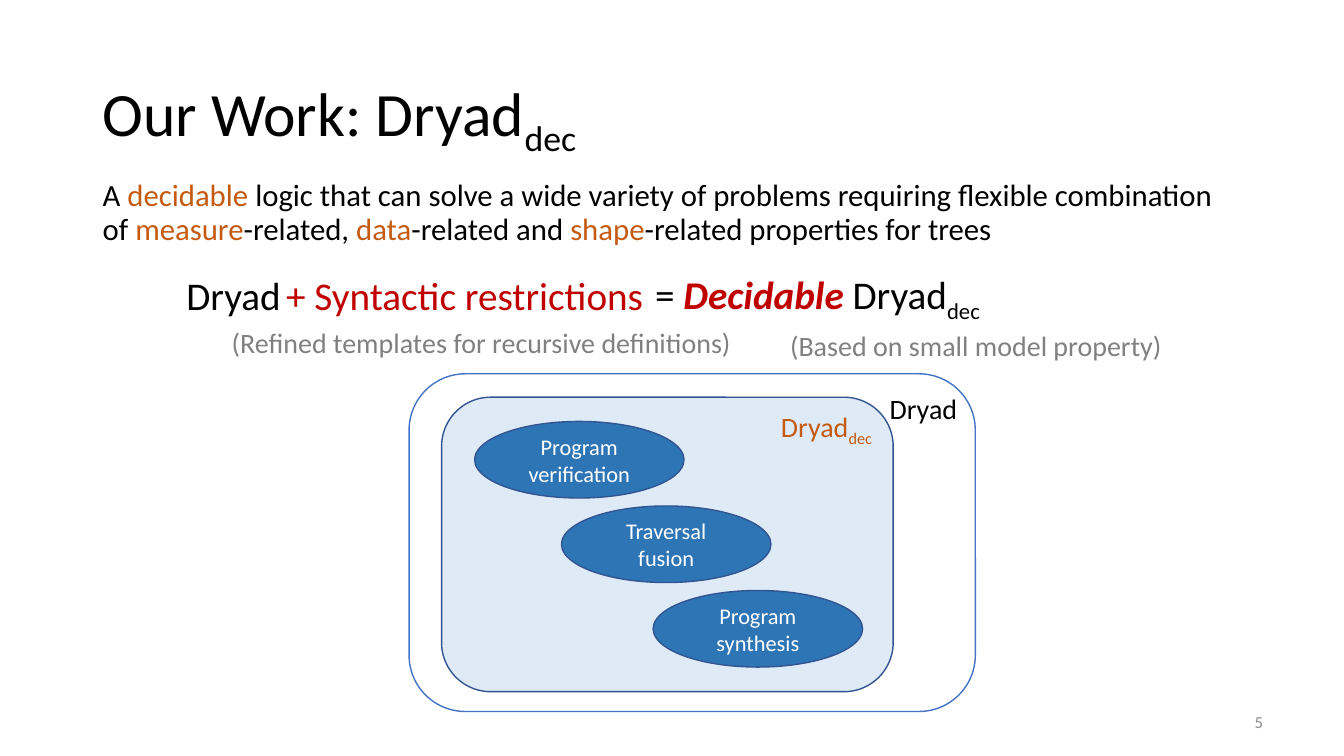
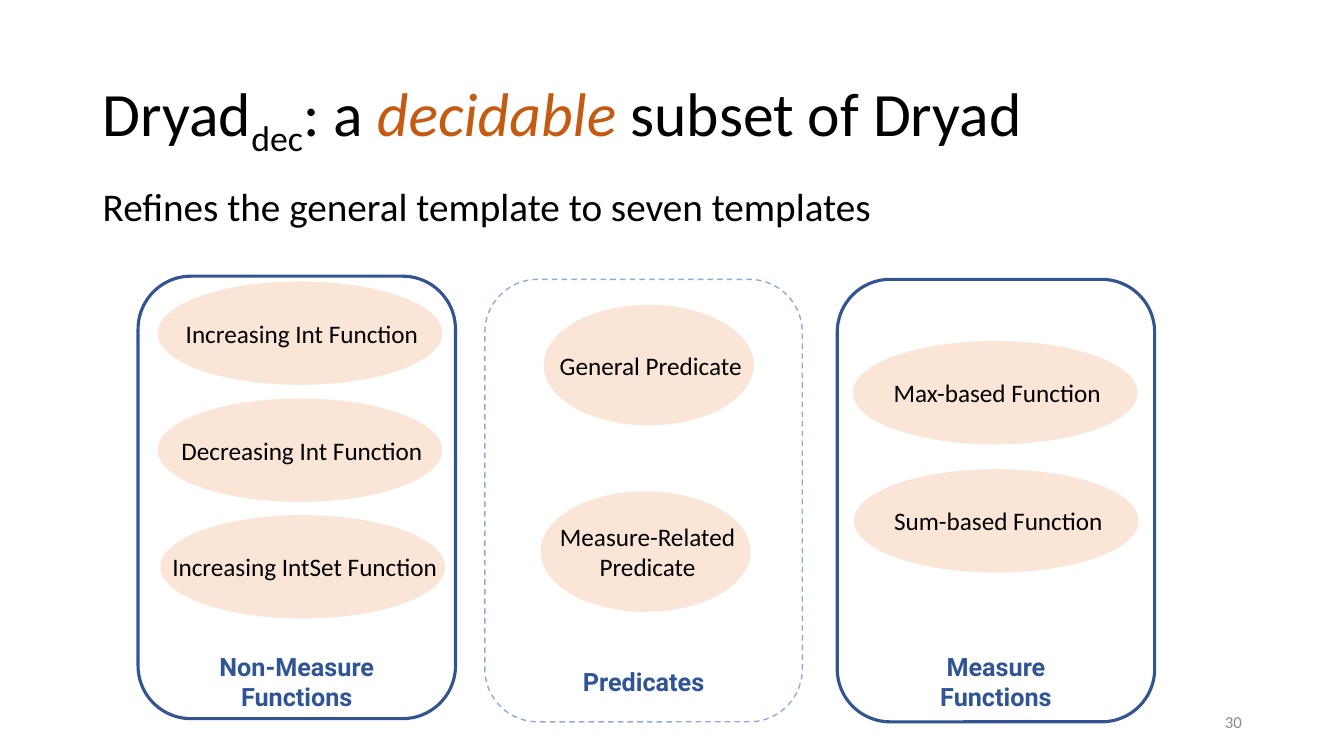
from pptx import Presentation
from pptx.dml.color import RGBColor
from pptx.enum.dml import MSO_LINE
from pptx.enum.shapes import MSO_SHAPE as SHAPE
from pptx.enum.text import MSO_ANCHOR as ANCHOR, PP_ALIGN as ALIGN
from pptx.util import Cm, Pt

# Shared colours
BLACK, WHITE, GREY, PAGE_GREY = "000000", "FFFFFF", "808080", "8C8C8C"
ORANGE, RED = "C55A11", "C00000"
BLUE, NAVY, CAPTION_BLUE, EDGE_BLUE = "2E75B6", "325491", "2F5597", "4472C4"
PALE_BLUE, DASH_BLUE, PEACH = "DEEBF7", "8FAADC", "FBE5D6"

# Shared left edge and width of title and body, in cm
LEFT, WIDTH = 2.34, 29.21

# Runs with their own format
DEC = ("dec", {"sub": True})


def rgb(color):
    return RGBColor.from_string(color)


def orange(text, **fmt):
    return text, {"color": ORANGE, **fmt}


def write(sp, text, size=18, color=BLACK, font="Calibri", bold=False,
          italic=False, align=ALIGN.LEFT, anchor=ANCHOR.TOP, wrap=True,
          spacing=None, before=0):
    """Fill a shape with one paragraph: a string, or runs of text and changes."""
    tf = sp.text_frame
    tf.word_wrap = wrap
    tf.vertical_anchor = anchor
    p = tf.paragraphs[0]
    p.alignment = align
    p.space_before = Pt(before)
    if spacing:
        p.line_spacing = spacing
    base = {"color": color, "bold": bold, "italic": italic}
    for part in [text] if isinstance(text, str) else text:
        words, changes = (part, {}) if isinstance(part, str) else part
        fmt = {**base, **changes}
        r = p.add_run()
        r.text = words
        r.font.size = Pt(size)
        r.font.name = font
        r.font.color.rgb = rgb(fmt["color"])
        r.font.bold = fmt["bold"]
        r.font.italic = fmt["italic"]
        if fmt.get("sub"):
            r.font._element.set("baseline", "-25000")


def add_text(s, box, text, **fmt):
    write(s.shapes.add_textbox(*map(Cm, box)), text, **fmt)


def add_box(s, kind, box, line, fill=None, width=1, dashed=False):
    sp = s.shapes.add_shape(kind, *map(Cm, box))
    sp.shadow.inherit = False
    if fill:
        sp.fill.solid()
        sp.fill.fore_color.rgb = rgb(fill)
    else:
        sp.fill.background()
    sp.line.color.rgb = rgb(line)
    sp.line.width = Pt(width)
    if dashed:
        sp.line.dash_style = MSO_LINE.DASH
    return sp


def new_slide(prs, title, number, number_left):
    s = prs.slides.add_slide(prs.slide_layouts[6])
    add_text(s, (LEFT, 1.02, WIDTH, 3.68), title, size=44,
             anchor=ANCHOR.MIDDLE, spacing=0.9)
    add_text(s, (number_left, 17.67, 7.62, 1.02), number, size=12,
             color=PAGE_GREY, align=ALIGN.RIGHT, anchor=ANCHOR.MIDDLE)
    return s


def add_template(s, text, box):
    """Peach oval with a label slightly wider than the oval."""
    add_box(s, SHAPE.OVAL, box, PEACH, PEACH)
    x, y, w, h = box
    add_text(s, (x - 0.1, y, w + 0.3, h), text, align=ALIGN.CENTER,
             anchor=ANCHOR.MIDDLE)


def add_column(s, caption, x, y, oval_size, templates, framed):
    """Rounded column of templates with a caption at its foot."""
    w, h, caption_w = 8, 11.15, 4.6
    add_box(s, SHAPE.ROUNDED_RECTANGLE, (x, y, w, h), DASH_BLUE, dashed=True)
    if framed:
        add_box(s, SHAPE.ROUNDED_RECTANGLE, (x, y, w, h), NAVY, width=2.25)
    for text, left, top in templates:
        add_template(s, text, (left, top, *oval_size))
    add_text(s, (x + (w - caption_w) / 2, 16.28, caption_w, 1.8), caption,
             font="Roboto", color=CAPTION_BLUE, bold=True,
             align=ALIGN.CENTER, anchor=ANCHOR.MIDDLE)


def build_overview(prs):
    s = new_slide(prs, ["Our Work: Dryad", DEC], "5", 24.46)
    add_text(s, (LEFT, 4.42, WIDTH, 3.15), [
        "A ", orange("decidable"),
        " logic that can solve a wide variety of problems requiring flexible"
        " combination of ",
        orange("measure"), "-related, ", orange("data"), "-related and ",
        orange("shape"), "-related properties for trees",
    ], size=22, spacing=0.9, before=10)

    # Equation and its remarks
    add_text(s, (4.45, 6.71, 3.02, 1.45), "Dryad", size=28)
    add_text(s, (6.96, 6.71, 9.78, 1.45), "+ Syntactic restrictions",
             size=28, color=RED)
    decidable = ("Decidable ", {"color": RED, "bold": True, "italic": True})
    add_text(s, (16.26, 6.68, 9.17, 1.45), ["= ", decidable, "Dryad", DEC],
             size=28)
    add_text(s, (5.59, 8.08, 13.23, 1.12),
             "(Refined templates for recursive definitions)",
             size=20, color=GREY, wrap=False)
    add_text(s, (19.66, 8.15, 9.96, 1.12), "(Based on small model property)",
             size=20, color=GREY, wrap=False)

    # Nested logics
    add_box(s, SHAPE.ROUNDED_RECTANGLE, (10.31, 9.42, 14.27, 8.51), EDGE_BLUE)
    add_text(s, (22.17, 9.73, 2.72, 1.35), "Dryad", size=20)
    add_box(s, SHAPE.ROUNDED_RECTANGLE, (11.13, 10.01, 11.38, 7.42), NAVY,
            PALE_BLUE)
    add_text(s, (19.43, 10.19, 3.84, 1.42), ["Dryad", DEC], size=20,
             color=ORANGE)

    # Applications, stepping down to the right
    applications = [("Program verification", 11.96),
                    ("Traversal fusion", 14.15),
                    ("Program synthesis", 16.46)]
    for i, (text, x) in enumerate(applications):
        sp = add_box(s, SHAPE.OVAL, (x, 10.62 + 2.13 * i, 5.28, 1.93), NAVY,
                     BLUE)
        write(sp, text, size=16, color=WHITE, align=ALIGN.CENTER,
              anchor=ANCHOR.MIDDLE)


def build_templates(prs):
    title = ["Dryad", DEC, ": a ", orange("decidable", italic=True),
             " subset of Dryad"]
    s = new_slide(prs, title, "30", 23.93)
    add_text(s, (LEFT, 4.7, WIDTH, 1.27),
             "Refines the general template to seven templates",
             size=28, spacing=0.8, before=10)

    # Template families
    wide, tall = (7.14, 2.57), (5.26, 3)
    add_column(s, "Non-Measure Functions", 3.48, 6.96, wide, [
        ("Increasing Int Function", 3.99, 7.11),
        ("Decreasing Int Function", 3.99, 10.06),
        ("Increasing IntSet Function", 4.06, 13),
    ], framed=True)
    add_column(s, "Predicates", 12.22, 7.04, tall, [
        ("General Predicate", 13.72, 7.7),
        ("Measure-Related Predicate", 13.64, 12.4),
    ], framed=False)
    add_column(s, "Measure Functions", 21.1, 7.04, wide, [
        ("Max-based Function", 21.51, 8.61),
        ("Sum-based Function", 21.54, 11.84),
    ], framed=True)


def main():
    prs = Presentation()
    prs.slide_width, prs.slide_height = Cm(33.87), Cm(19.05)
    build_overview(prs)
    build_templates(prs)
    prs.save("out.pptx")


if __name__ == "__main__":
    main()
